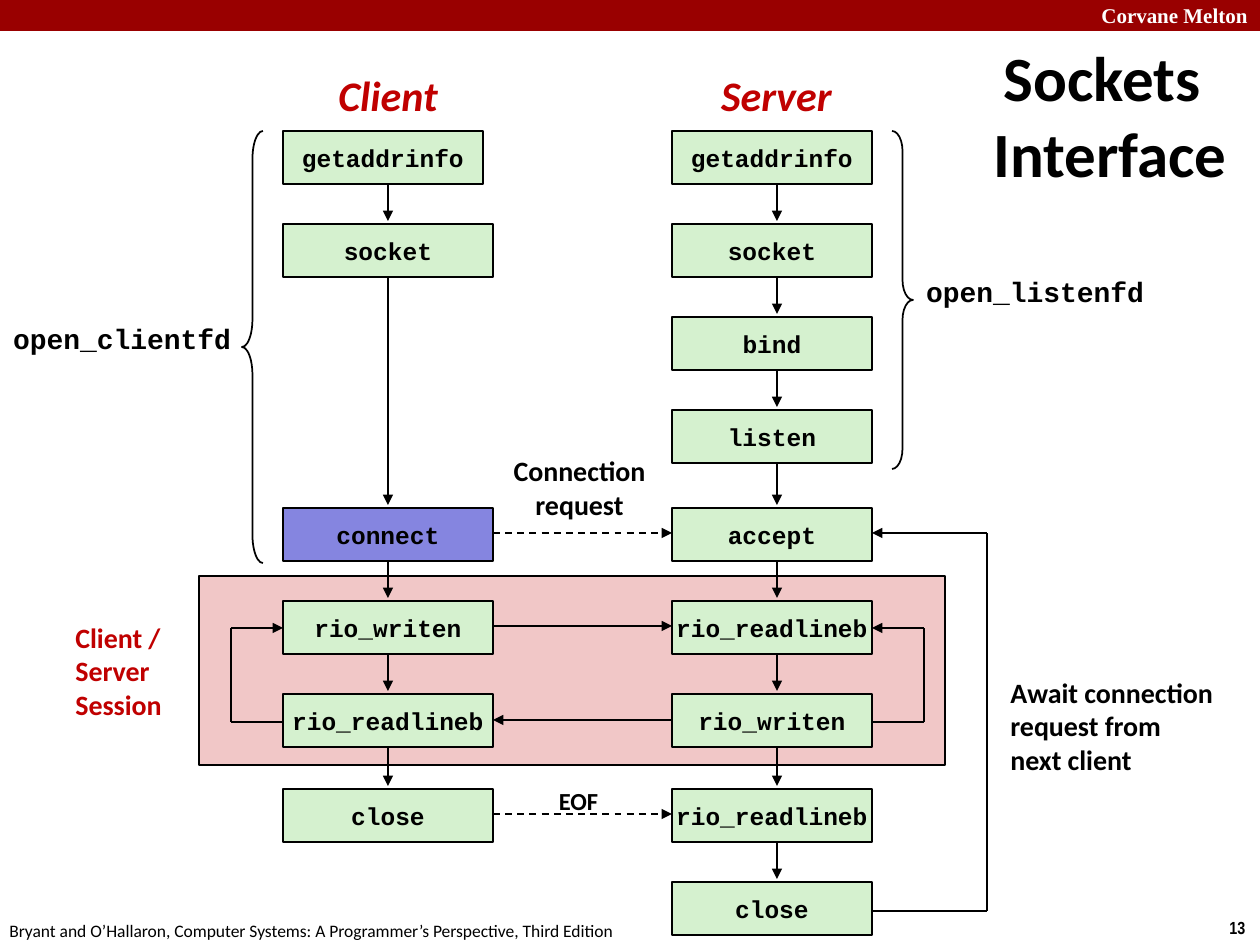
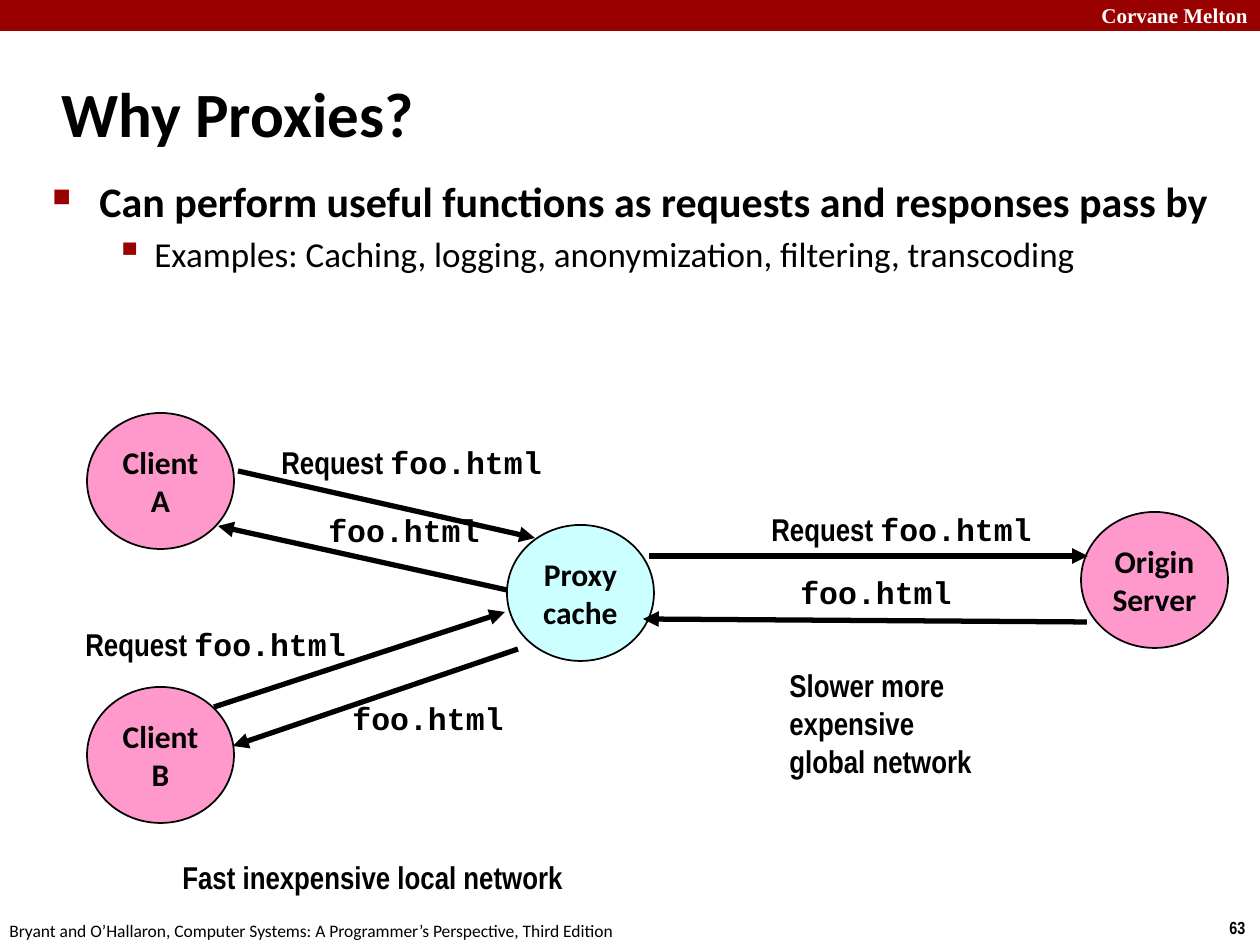
from dataclasses import dataclass, replace
from itertools import pairwise

from lxml.etree import SubElement
from pptx import Presentation
from pptx.dml.color import RGBColor
from pptx.enum.dml import MSO_LINE
from pptx.enum.shapes import MSO_CONNECTOR, MSO_SHAPE
from pptx.enum.text import MSO_ANCHOR, MSO_AUTO_SIZE, PP_ALIGN
from pptx.oxml.ns import qn
from pptx.util import Emu, Pt

PX_PER_INCH = 126
COLOURS = {
    "band": "990000", "heading": "C00000", "ink": "000000", "paper": "FFFFFF",
    "call": "D5F1CF", "connect": "8585E0", "session": "F1C7C7",
    "host": "FF99CC", "proxy": "CCFFFF",
}
CREDIT = ("Bryant and O’Hallaron, Computer Systems: "
          "A Programmer’s Perspective, Third Edition")


@dataclass(frozen=True)
class Style:
    size: int
    font: str = "Calibri"
    colour: str = "ink"
    bold: bool = True
    italic: bool = False
    align: PP_ALIGN = PP_ALIGN.LEFT
    anchor: MSO_ANCHOR = MSO_ANCHOR.TOP


TITLE = Style(36, anchor=MSO_ANCHOR.MIDDLE)
COLUMN_HEAD = Style(24, colour="heading", italic=True,
                    align=PP_ALIGN.CENTER, anchor=MSO_ANCHOR.MIDDLE)
CALL = Style(14, "Courier New", align=PP_ALIGN.CENTER, anchor=MSO_ANCHOR.MIDDLE)
WRAPPER = replace(CALL, size=16)
REMARK = Style(16, anchor=MSO_ANCHOR.MIDDLE)
MESSAGE = replace(REMARK, align=PP_ALIGN.CENTER)
HOST = replace(MESSAGE, size=18)
NETWORK = Style(18, "Arial Narrow")
CODE = Style(18, "Courier New")

BOX_HEIGHT, ROW_PITCH = 53, 93
CLIENT_X, CLIENT_WIDTH = 283, 210
SERVER_X, SERVER_WIDTH = 672, 200
CLIENT_EDGE = CLIENT_X + CLIENT_WIDTH
SERVER_EDGE = SERVER_X + SERVER_WIDTH
# Three stages (set-up, session, shutdown), each with evenly spaced rows.
ROWS = [top + ROW_PITCH * row
        for top, count in ((131, 4), (508, 3), (789, 2)) for row in range(count)]
ACCEPT, FIRST_IO, SECOND_IO, END_OF_FILE, LAST = ROWS[4:]
HOST_WIDTH, HOST_HEIGHT = 147, 136


def px(length):
    return Emu(round(length * 914400 / PX_PER_INCH))


def rgb(name):
    return RGBColor.from_string(COLOURS[name])


def add_span(para, words, style):
    span = para.add_run()
    span.text = words
    font = span.font
    font.name, font.size = style.font, Pt(style.size)
    font.bold, font.italic = style.bold, style.italic
    font.color.rgb = rgb(style.colour)


def write(frame, lines, style, wrap=False):
    """Fill a frame; a line is a string or a list of (words, style) spans."""
    frame.word_wrap = wrap
    frame.auto_size = MSO_AUTO_SIZE.NONE
    frame.vertical_anchor = style.anchor
    for number, line in enumerate(lines):
        para = frame.add_paragraph() if number else frame.paragraphs[0]
        para.alignment = style.align
        spans = [(line, style)] if isinstance(line, str) else line
        for words, span_style in spans:
            add_span(para, words, span_style)


def add_text(page, at, lines, style, wrap=False):
    box = page.shapes.add_textbox(*map(px, at))
    write(box.text_frame, lines, style, wrap)
    return box


def add_figure(page, kind, at, fill=None, line="ink"):
    figure = page.shapes.add_shape(kind, *map(px, at))
    figure.shadow.inherit = False
    if fill:
        figure.fill.solid()
        figure.fill.fore_color.rgb = rgb(fill)
    else:
        figure.fill.background()
    if line:
        figure.line.color.rgb = rgb(line)
        figure.line.width = Pt(1)
    else:
        figure.line.fill.background()
    return figure


def add_line(page, start, end, width=1, dashed=False, arrow=True):
    line = page.shapes.add_connector(
        MSO_CONNECTOR.STRAIGHT, *map(px, (*start, *end)))
    line.line.color.rgb = rgb("ink")
    line.line.width = Pt(width)
    if dashed:
        line.line.dash_style = MSO_LINE.DASH
    properties = line.element.spPr
    if arrow:
        SubElement(properties.find(qn("a:ln")), qn("a:tailEnd"), type="triangle")
    SubElement(properties, qn("a:effectLst"))


def indent(para, margin, first):
    properties = para._p.get_or_add_pPr()
    properties.set("marL", str(px(margin)))
    properties.set("indent", str(px(first)))
    return properties


def add_bullet(para, symbol, percent, margin, hang):
    properties = indent(para, margin, -hang)
    colour = SubElement(properties, qn("a:buClr"))
    SubElement(colour, qn("a:srgbClr"), val=COLOURS["band"])
    SubElement(properties, qn("a:buSzPct"), val=str(percent * 1000))
    SubElement(properties, qn("a:buChar"), char=symbol)


def add_page(deck, number, title, title_at, align=PP_ALIGN.LEFT):
    """Add a slide with its title, top band, credit line and number."""
    page = deck.slides.add_slide(deck.slide_layouts[5])
    add_figure(page, MSO_SHAPE.RECTANGLE, (0, 0, 1260, 31), "band", None)
    add_text(page, (1089, -4, 180, 38), ["Corvane Melton"],
             Style(12, "Times New Roman", "paper"))
    add_text(page, (1217, 911, 43, 34), [number], Style(10, "Arial Narrow"))
    add_text(page, (-3, 914, 640, 34), [CREDIT], Style(10, bold=False))
    holder = page.shapes.title
    holder.left, holder.top, holder.width, holder.height = map(px, title_at)
    write(holder.text_frame, [title], replace(TITLE, align=align), wrap=True)
    indent(holder.text_frame.paragraphs[0], 16, -16)
    return page


def add_calls(page, left, width, arrow_x, calls):
    """Stack (top, name) call boxes and join each to the next."""
    for (top, _), (next_top, _) in pairwise(calls):
        add_line(page, (arrow_x, top + BOX_HEIGHT), (arrow_x, next_top - 3))
    for top, name in calls:
        box_width = SERVER_WIDTH if name == "getaddrinfo" else width
        box = add_figure(page, MSO_SHAPE.RECTANGLE,
                         (left, top, box_width, BOX_HEIGHT),
                         "connect" if name == "connect" else "call")
        write(box.text_frame, [name], CALL)


def add_loop(page, edge, turn, low, high):
    """Lead from a lower box out to the turn and back to an upper box."""
    corners = [(edge, low), (turn, low), (turn, high), (edge, high)]
    for number, (start, end) in enumerate(pairwise(corners)):
        add_line(page, start, end, arrow=number == 2)


def add_brace(page, kind, at, bend):
    brace = add_figure(page, kind, at)
    brace.adjustments[0] = bend


def add_host(page, left, top, names, fill):
    host = add_figure(page, MSO_SHAPE.OVAL,
                      (left, top, HOST_WIDTH, HOST_HEIGHT), fill)
    write(host.text_frame, names, HOST)


def add_request(page, left, top):
    add_text(page, (left, top, 287, 50),
             [[("Request ", NETWORK), ("foo.html", CODE)]], NETWORK)


def build_sockets(deck):
    page = add_page(deck, "13", "Sockets Interface", (955, 32, 294, 165),
                    PP_ALIGN.CENTER)
    add_figure(page, MSO_SHAPE.RECTANGLE, (199, 576, 746, 189), "session")
    add_text(page, (63, 614, 116, 113), ["Client / Server", "Session"],
             replace(REMARK, colour="heading"), wrap=True)
    add_text(page, (325, 63, 126, 63), ["Client"], COLUMN_HEAD)
    add_text(page, (708, 63, 137, 63), ["Server"], COLUMN_HEAD)

    client = ["getaddrinfo", "socket", "connect",
              "rio_writen", "rio_readlineb", "close"]
    server = ["getaddrinfo", "socket", "bind", "listen", "accept",
              "rio_readlineb", "rio_writen", "rio_readlineb", "close"]
    add_calls(page, CLIENT_X, CLIENT_WIDTH, 388,
              list(zip(ROWS[:2] + ROWS[4:8], client)))
    add_calls(page, SERVER_X, SERVER_WIDTH, 777, list(zip(ROWS, server)))

    for top, dashed in ((ACCEPT, True), (FIRST_IO, False), (END_OF_FILE, True)):
        middle = top + 25
        add_line(page, (CLIENT_EDGE, middle), (SERVER_X, middle), dashed=dashed)
    add_line(page, (SERVER_X, SECOND_IO + 26), (CLIENT_EDGE, SECOND_IO + 26))
    add_loop(page, SERVER_EDGE, 924, SECOND_IO + 28, FIRST_IO + 27)
    add_loop(page, CLIENT_X, 231, SECOND_IO + 28, FIRST_IO + 27)
    add_loop(page, SERVER_EDGE, 987, LAST + 29, ACCEPT + 25)

    add_text(page, (500, 447, 159, 81), ["Connection", "request"], MESSAGE)
    add_text(page, (546, 779, 65, 43), ["EOF"], replace(MESSAGE, size=14))
    add_text(page, (998, 668, 231, 115),
             ["Await connection", "request from", "next client"], REMARK)
    add_brace(page, MSO_SHAPE.LEFT_BRACE, (242, 131, 21, 432), 1.33)
    add_brace(page, MSO_SHAPE.RIGHT_BRACE, (892, 131, 21, 338), 0.96)
    add_text(page, (0, 315, 244, 47), ["open_clientfd"], WRAPPER)
    add_text(page, (913, 268, 244, 47), ["open_listenfd"], WRAPPER)


def build_proxies(deck):
    page = add_page(deck, "63", "Why Proxies?", (49, 60, 1046, 105))
    main_point, example = Style(24), Style(20, bold=False)
    points = add_text(page, (40, 169, 1188, 228), [
        [("Can perform useful functions as requests and responses pass by",
          main_point)],
        [("Examples: Caching, logging, anonymization, filtering, transcoding",
          example)],
    ], main_point, wrap=True)
    first, second = points.text_frame.paragraphs
    first.space_before, second.space_before = Pt(5), Pt(4)
    second.level = 1
    add_bullet(first, "■", 60, 47, 47)
    add_bullet(second, "▪", 110, 102, 39)

    for left, top, names, fill in (
        (87, 413, ["Client", "A"], "host"),
        (87, 687, ["Client", "B"], "host"),
        (507, 525, ["Proxy", "cache"], "proxy"),
        (1081, 512, ["Origin", "Server"], "host"),
    ):
        add_host(page, left, top, names, fill)

    for start, end in (
        ((238, 471), (535, 538)), ((507, 590), (218, 526)),
        ((214, 707), (505, 612)), ((518, 649), (233, 746)),
        ((649, 556), (1088, 556)), ((1087, 622), (643, 619)),
    ):
        add_line(page, start, end, width=3)

    for left, top in ((269, 437), (759, 504), (73, 619)):
        add_request(page, left, top)
    for left, top in ((316, 505), (788, 567), (340, 693)):
        add_text(page, (left, top, 178, 50), ["foo.html"], CODE)

    add_text(page, (170, 852, 411, 50), ["Fast inexpensive local network"], NETWORK)
    add_text(page, (777, 660, 233, 127),
             ["Slower more", "expensive", "global network"], NETWORK, wrap=True)


def main():
    deck = Presentation()
    deck.slide_width, deck.slide_height = px(1260), px(945)
    build_sockets(deck)
    build_proxies(deck)
    deck.save("out.pptx")


if __name__ == "__main__":
    main()
